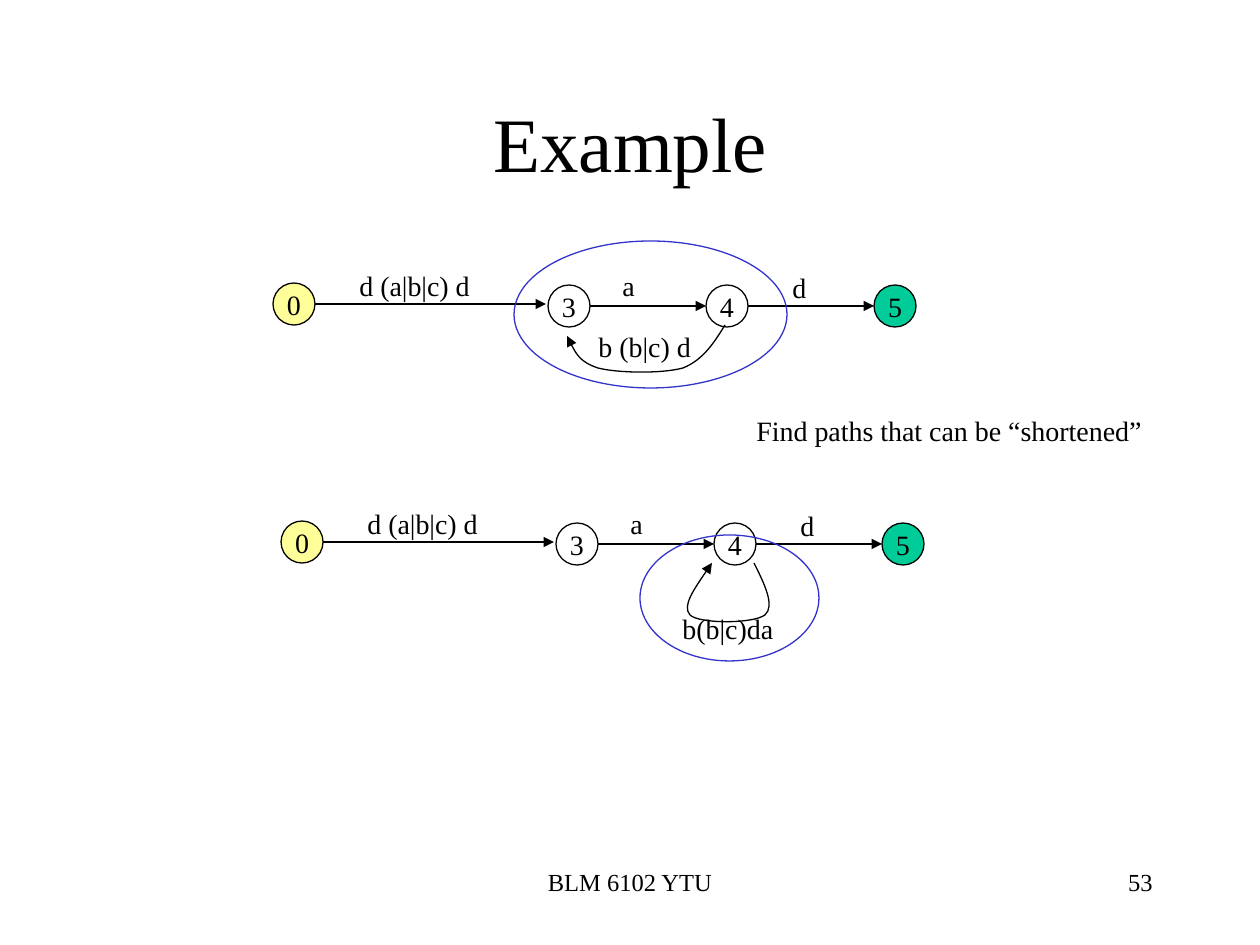
from dataclasses import dataclass
from lxml.etree import SubElement
from pptx import Presentation
from pptx.dml.color import RGBColor
from pptx.enum.shapes import MSO_CONNECTOR, MSO_SHAPE
from pptx.enum.text import MSO_ANCHOR, MSO_AUTO_SIZE, PP_ALIGN
from pptx.oxml.ns import qn
from pptx.util import Emu, Pt


@dataclass(frozen=True)
class Theme:
    font: str = "Times New Roman"
    ink: str = "000000"
    start: str = "FFFF99"
    accept: str = "00CC99"
    highlight: str = "3333CC"
    title: int = 44
    label: int = 16
    footer: int = 14
    line: float = 0.75


T = Theme()
SCALE = 914400 / 126
NODE = 42


def px(*values):
    return [Emu(round(v * SCALE)) for v in values]


def write(tf, text, size=T.label, align=PP_ALIGN.LEFT, anchor=MSO_ANCHOR.TOP, wrap=False):
    tf.word_wrap = wrap
    tf.vertical_anchor = anchor
    p = tf.paragraphs[0]
    p.alignment = align
    r = p.add_run()
    r.text = text
    r.font.name = T.font
    r.font.size = Pt(size)
    r.font.color.rgb = RGBColor.from_string(T.ink)


def add_label(s, text, x, y, w, h=46, **fmt):
    tf = s.shapes.add_textbox(*px(x, y, w, h)).text_frame
    write(tf, text, **fmt)
    if not tf.word_wrap:
        tf.auto_size = MSO_AUTO_SIZE.SHAPE_TO_FIT_TEXT


def outline(sp, color=T.ink):
    sp.line.color.rgb = RGBColor.from_string(color)
    sp.line.width = Pt(T.line)


def add_arrowhead(sp):
    SubElement(sp.line._get_or_add_ln(), qn("a:tailEnd"), type="triangle")


def add_ellipse(s, x, y, w, h, fill=None, color=T.ink):
    sp = s.shapes.add_shape(MSO_SHAPE.OVAL, *px(x, y, w, h))
    sp.shadow.inherit = False
    if fill:
        sp.fill.solid()
        sp.fill.fore_color.rgb = RGBColor.from_string(fill)
    else:
        sp.fill.background()
    outline(sp, color)
    return sp


def add_arrow(s, x1, x2, y):
    cxn = s.shapes.add_connector(MSO_CONNECTOR.STRAIGHT, *px(x1, y, x2, y))
    outline(cxn)
    add_arrowhead(cxn)
    SubElement(cxn._element.spPr, qn("a:effectLst"))


def add_curve(s, points):
    start, *rest = [px(*point) for point in points]
    builder = s.shapes.build_freeform(*start)
    builder.add_line_segments(rest, close=False)
    sp = builder.convert_to_shape()
    route = sp._element.spPr.find(".//" + qn("a:path"))
    segments = route.findall(qn("a:lnTo"))
    for i in range(0, len(segments), 3):
        bezier = SubElement(route, qn("a:cubicBezTo"))
        for segment in segments[i:i + 3]:
            bezier.append(segment[0])
            route.remove(segment)
    sp.shadow.inherit = False
    sp.fill.background()
    outline(sp)
    add_arrowhead(sp)


def add_automaton(s, x, y, loop, loop_label, highlight):
    nodes = [("0", 0, 21, T.start), ("3", 275, 23, None),
             ("4", 433, 23, None), ("5", 601, 23, T.accept)]
    for name, dx, dy, fill in nodes:
        sp = add_ellipse(s, x + dx, y + dy, NODE, NODE, fill)
        write(sp.text_frame, name, align=PP_ALIGN.CENTER, anchor=MSO_ANCHOR.MIDDLE)
    for x1, x2, dy in [(NODE, 273, 42), (275 + NODE, 433, 44), (433 + NODE, 601, 44)]:
        add_arrow(s, x + x1, x + x2, y + dy)
    add_curve(s, [(x + dx, y + dy) for dx, dy in loop])
    labels = [("d (a|b|c) d", 74, 0, 138), ("a", 337, 0, 38), ("d", 507, 2, 39), loop_label]
    for text, dx, dy, w in labels:
        add_label(s, text, x + dx, y + dy, w)
    dx, dy, w, h = highlight
    add_ellipse(s, x + dx, y + dy, w, h, color=T.highlight)


def add_title(s, text, x, y, w, h):
    sp = s.shapes.title
    sp.left, sp.top, sp.width, sp.height = px(x, y, w, h)
    write(sp.text_frame, text, size=T.title, align=PP_ALIGN.CENTER,
          anchor=MSO_ANCHOR.MIDDLE, wrap=True)


def add_footer(s, y, h):
    for text, x, w, align in [("BLM 6102 YTU", 430, 400, PP_ALIGN.CENTER),
                              ("53", 903, 262, PP_ALIGN.RIGHT)]:
        add_label(s, text, x, y, w, h, size=T.footer, align=align, wrap=True)


def main():
    prs = Presentation()
    prs.slide_width, prs.slide_height = px(1260, 945)
    s = prs.slides.add_slide(prs.slide_layouts[5])
    add_title(s, "Example", 95, 63, 1071, 158)
    back_edge = [(452, 63), (441, 81), (430, 98), (410, 106), (388, 112),
                 (344, 111), (325, 106), (307, 100), (300, 87), (294, 74)]
    self_loop = [(473, 63), (484, 85), (494, 106), (484, 115), (472, 124),
                 (418, 124), (409, 115), (401, 106), (416, 85), (431, 63)]
    add_automaton(s, 273, 262, back_edge, ("b (b|c) d", 313, 61, 121), (241, -21, 273, 147))
    add_automaton(s, 281, 500, self_loop, ("b(b|c)da", 389, 105, 119), (359, 35, 179, 126))
    add_label(s, "Find paths that can be “shortened”", 744, 407, 414)
    add_footer(s, 861, 63)
    prs.save("out.pptx")


if __name__ == "__main__":
    main()
